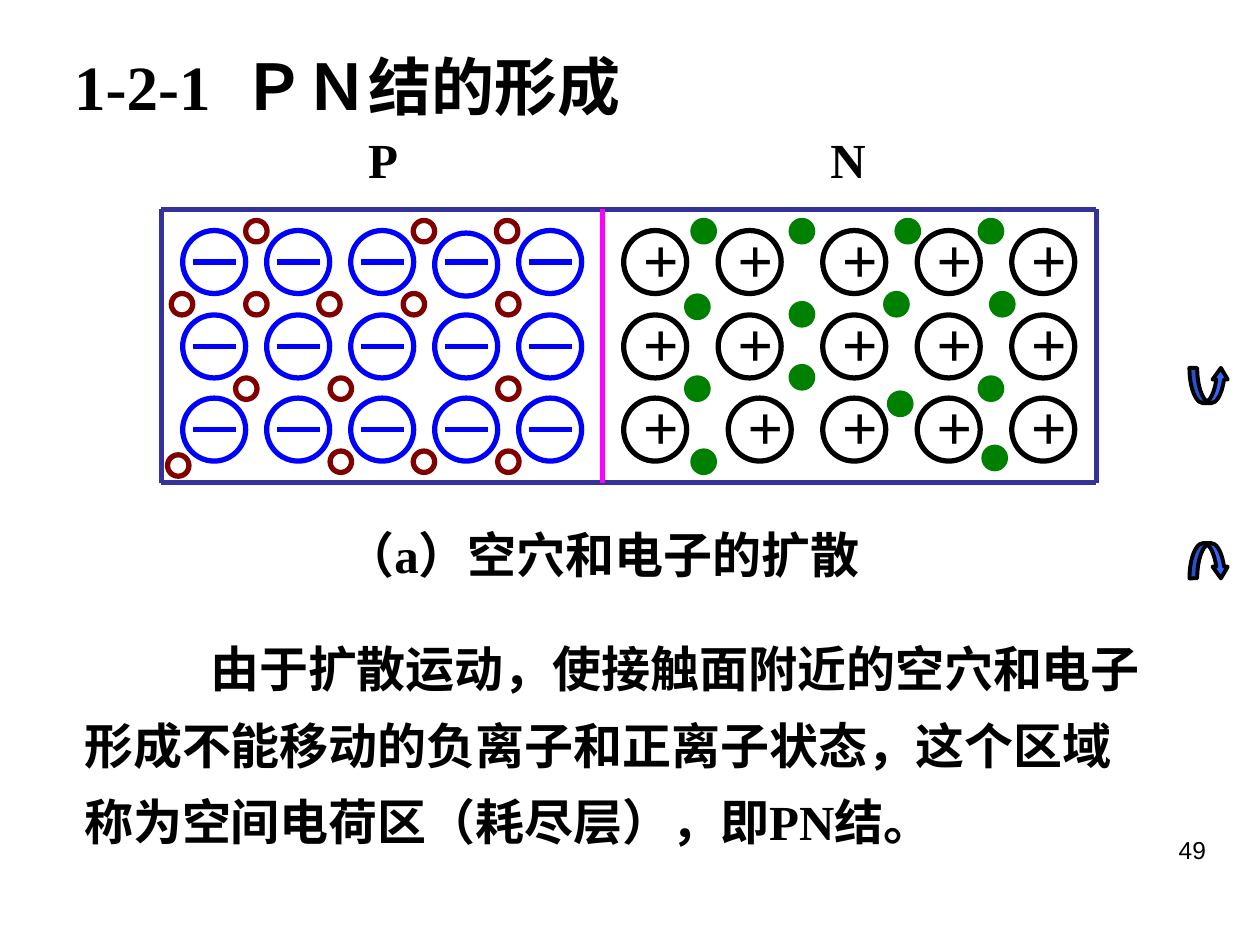
"""Build the slide on how a PN junction forms."""
from lxml import etree
from pptx import Presentation
from pptx import util as u
from pptx.dml.color import RGBColor
from pptx.enum import shapes, text
from pptx.oxml.ns import qn

Inches = u.Inches
color = RGBColor.from_string

presentation = Presentation()
presentation.slide_width = Inches(10)
presentation.slide_height = Inches(7.5)
slide = presentation.slides.add_slide(presentation.slide_layouts[6])


def add_preset(kind, left, top, width, height, line, weight=3, fill=None):
    shape = slide.shapes.add_shape(
        kind, Inches(left), Inches(top), Inches(width), Inches(height))
    shape.shadow.inherit = False
    shape.line.color.rgb = color(line)
    shape.line.width = u.Pt(weight)
    if fill:
        shape.fill.solid()
        shape.fill.fore_color.rgb = color(fill)
    else:
        shape.fill.background()
    return shape


def add_text(words, left, top, width, height, size, align="LEFT", wrap=True,
             anchor="TOP", font="Times New Roman", bold=True):
    box = slide.shapes.add_textbox(
        Inches(left), Inches(top), Inches(width), Inches(height))
    frame = box.text_frame
    frame.word_wrap = wrap
    frame.auto_size = text.MSO_AUTO_SIZE.SHAPE_TO_FIT_TEXT
    frame.vertical_anchor = text.MSO_ANCHOR[anchor]
    paragraph = frame.paragraphs[0]
    paragraph.alignment = text.PP_ALIGN[align]
    run = paragraph.add_run()
    run.text = words
    run.font.name = font
    run.font.size = u.Pt(size)
    run.font.bold = bold
    run.font.color.rgb = color("000000")
    return paragraph


circle = shapes.MSO_SHAPE.OVAL
ion_size = 0.5
carrier_size = 0.17
row_tops = [1.83, 2.5, 3.16]
lines = []

for kind, top in ((shapes.MSO_SHAPE.CURVED_DOWN_ARROW, 4.31),
                  (shapes.MSO_SHAPE.CURVED_UP_ARROW, 2.92)):
    arrow = add_preset(kind, 9.44, top, 0.31, 0.28, "000000", 2.25, "3366FF")
    for index, value in enumerate((0.22, 0.43, 0.33)):
        arrow.adjustments[index] = value

for row, top in enumerate(row_tops):
    for column, left in enumerate((4.95, 5.7, 6.53, 7.28, 8.03)):
        if (row, column) == (2, 1):
            left = 5.78
        add_preset(circle, left, top, ion_size, ion_size, "000000")
        add_text("+", left - 0.04, top - 0.13, 0.67, 0.7, 36, "CENTER")

for row, top in enumerate(row_tops):
    for column in range(5):
        left = 1.45 + column * 2 / 3
        circle_top = 1.85 if (row, column) == (0, 3) else top
        add_preset(circle, left, circle_top, ion_size, ion_size, "0000FF")
        middle = top + ion_size / 2
        lines.append((left + 0.08, middle, left + 0.42, middle, "0000FF"))

frame_left, frame_top, frame_right, frame_bottom = 1.28, 1.66, 8.7, 3.83
for y in (frame_top, frame_bottom):
    lines.append((frame_left, y, frame_right, y, "333399"))
for x, line_color in ((frame_left, "333399"), (frame_right, "333399"),
                      (4.78, "FF00FF")):
    lines.append((x, frame_top, x, frame_bottom, line_color))

for x1, y1, x2, y2, line_color in lines:
    connector = slide.shapes.add_connector(
        shapes.MSO_CONNECTOR.STRAIGHT,
        Inches(x1), Inches(y1), Inches(x2), Inches(y2))
    connector.line.color.rgb = color(line_color)
    connector.line.width = u.Pt(3)
    etree.SubElement(connector._element.spPr, qn("a:effectLst"))

electrons = [
    (5.5, 1.75), (6.28, 1.75), (7.12, 1.75), (7.78, 1.75),
    (5.45, 2.35), (6.28, 2.41), (7.03, 2.33), (7.87, 2.33),
    (5.45, 3), (6.28, 2.91), (7.06, 3.12), (7.78, 3),
    (5.5, 3.58), (7.81, 3.55),
]
holes = [
    (1.95, 1.75), (3.28, 1.75), (3.94, 1.75),
    (1.36, 2.33), (1.95, 2.33), (2.53, 2.33), (3.2, 2.33), (3.95, 2.33),
    (1.87, 3), (2.62, 3), (3.95, 3),
    (1.33, 3.61), (2.62, 3.58), (3.28, 3.58), (3.95, 3.58),
]
for carriers, line_color, fill in ((electrons, "008000", "008000"),
                                   (holes, "800000", None)):
    for left, top in carriers:
        add_preset(circle, left, top, carrier_size, carrier_size,
                   line_color, fill=fill)

for words, left, top, width in (("P", 2.82, 0.98, 0.44),
                                ("N", 6.49, 0.98, 0.48),
                                ("（a）空穴和电子的扩散", 2.55, 4.11, 4.46)):
    add_text(words, left, top, width, 0.57, 28, "CENTER", False, "MIDDLE")

add_text("1-2-1  ＰＮ结的形成", 0.49, 0.33, 4.65, 0.7, 36, wrap=False)
explanation = add_text(
    "由于扩散运动，使接触面附近的空穴和电子形成不能移动的负离子和正离子状态，"
    "这个区域称为空间电荷区（耗尽层），即PN结。",
    0.57, 4.88, 8.7, 1.92, 28)
explanation.line_spacing = 1.3
explanation._p.get_or_add_pPr().set("indent", str(Inches(1)))
add_text("49", 7.17, 6.58, 2.5, 0.52, 14, "RIGHT", font="Arial", bold=False)

presentation.save("out.pptx")
